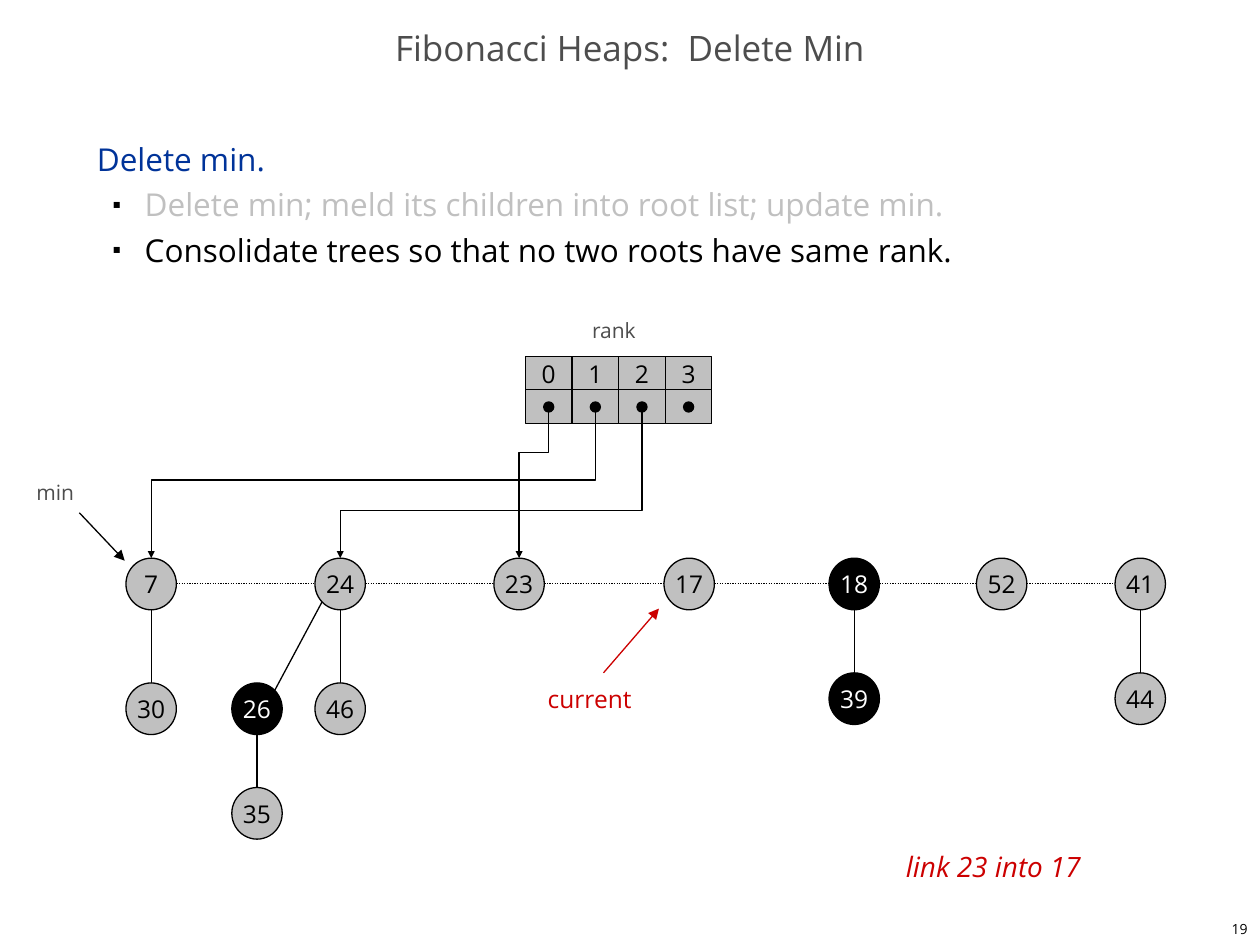
from dataclasses import dataclass
from itertools import pairwise

from lxml import etree
from pptx import Presentation
from pptx.dml.color import RGBColor
from pptx.enum.dml import MSO_LINE
from pptx.enum.shapes import MSO_CONNECTOR, MSO_SHAPE
from pptx.enum.text import MSO_ANCHOR, PP_ALIGN
from pptx.oxml.ns import qn
from pptx.util import Inches, Pt

OVAL, RECTANGLE = MSO_SHAPE.OVAL, MSO_SHAPE.RECTANGLE
STRAIGHT, ELBOW = MSO_CONNECTOR.STRAIGHT, MSO_CONNECTOR.ELBOW
LEFT, CENTER, RIGHT = PP_ALIGN.LEFT, PP_ALIGN.CENTER, PP_ALIGN.RIGHT
TOP, MIDDLE = MSO_ANCHOR.TOP, MSO_ANCHOR.MIDDLE
DOTTED = MSO_LINE.ROUND_DOT


@dataclass(frozen=True)
class Theme:
    font: str = "Open Sans"
    black: RGBColor = RGBColor(0, 0, 0)
    white: RGBColor = RGBColor(255, 255, 255)
    silver: RGBColor = RGBColor(0xC0, 0xC0, 0xC0)
    gray: RGBColor = RGBColor(0x4D, 0x4D, 0x4D)
    blue: RGBColor = RGBColor(0, 0x33, 0x99)
    red: RGBColor = RGBColor(0xCC, 0, 0)
    title: Pt = Pt(20)
    body: Pt = Pt(18)
    remark: Pt = Pt(16)
    node: Pt = Pt(14)
    label: Pt = Pt(12)
    number: Pt = Pt(8)
    stroke: Pt = Pt(0.75)


theme = Theme()


def write(para, text, *, size=theme.node, color=theme.black, align=CENTER,
          spacing=None, italic=False):
    para.alignment = align
    para.line_spacing = spacing
    span = para.add_run()
    span.text = text
    span.font.name = theme.font
    span.font.size = size
    span.font.italic = italic
    span.font.color.rgb = color


def connect(start, end, *, color=theme.black, dash=None, arrow=None, kind=STRAIGHT):
    line = page.shapes.add_connector(kind, *(Inches(value) for value in (*start, *end)))
    line.line.color.rgb = color
    line.line.width = theme.stroke
    if dash:
        line.line.dash_style = dash
    if arrow:
        etree.SubElement(line.line._get_or_add_ln(), qn("a:tailEnd"),
                         type="triangle", w=arrow, len=arrow)
    etree.SubElement(line._element.spPr, qn("a:effectLst"))
    return line


deck = Presentation()
deck.slide_width, deck.slide_height = Inches(10), Inches(7.5)
page = deck.slides.add_slide(deck.slide_layouts[6])

labels = [
    ("19", (7.92, 7.25, 2.08, 0.25), True, MIDDLE,
     dict(size=theme.number, align=RIGHT)),
    ("Fibonacci Heaps:  Delete Min", (0, 0.17, 10, 0.5), True, MIDDLE,
     dict(size=theme.title, color=theme.gray, spacing=0.7)),
    ("min", (0.19, 3.76, 0.51, 0.3), False, TOP,
     dict(size=theme.label, color=theme.gray, align=LEFT)),
    ("rank", (4.6, 2.47, 0.58, 0.3), False, TOP,
     dict(size=theme.label, color=theme.gray, align=LEFT)),
    ("current", (4.18, 5.34, 1, 0.41), True, MIDDLE, dict(color=theme.red)),
    ("link 23 into 17", (7.09, 6.69, 1.78, 0.37), False, TOP,
     dict(size=theme.remark, color=theme.red, align=LEFT, italic=True)),
]
for text, place, wrap, anchor, style in labels:
    box = page.shapes.add_textbox(*(Inches(value) for value in place))
    box.text_frame.word_wrap = wrap
    box.text_frame.vertical_anchor = anchor
    write(box.text_frame.paragraphs[0], text, **style)

body = page.shapes.add_textbox(Inches(0.67), Inches(1), Inches(8.58), Inches(5.92))
body.text_frame.word_wrap = True
steps = [
    ("Delete min.", theme.blue),
    ("Delete min; meld its children into root list; update min.", theme.silver),
    ("Consolidate trees so that no two roots have same rank.", theme.black),
]
for index, (text, color) in enumerate(steps):
    para = body.text_frame.add_paragraph() if index else body.text_frame.paragraphs[0]
    write(para, text, size=theme.body, color=color, align=LEFT, spacing=Pt(26))
    if index:
        para.level = 1
        properties = para._p.get_or_add_pPr()
        properties.set("marL", str(Inches(0.38)))
        properties.set("indent", str(Inches(-0.25)))
        bullet_color = etree.SubElement(properties, qn("a:buClr"))
        etree.SubElement(bullet_color, qn("a:srgbClr"), val=str(theme.black))
        etree.SubElement(properties, qn("a:buSzPct"), val="25000")
        etree.SubElement(properties, qn("a:buFont"), typeface=theme.font)
        etree.SubElement(properties, qn("a:buChar"), char="■")

node_width, node_height = 0.4, 0.41
root_top = 4.43
root_middle, root_bottom = 4.63, 4.83
roots = {"7": 1, "24": 2.5, "23": 3.92, "17": 5.27, "18": 6.58, "52": 7.75, "41": 8.85}
nodes = {label: (left, root_top) for label, left in roots.items()}
nodes |= {"30": (1, 5.42), "26": (1.84, 5.42), "46": (2.5, 5.42),
          "35": (1.84, 6.25), "39": (6.58, 5.34), "44": (8.85, 5.34)}
marked = {"18", "26", "39"}

for left, right in pairwise(roots.values()):
    connect((left + node_width, root_middle), (right, root_middle), dash=DOTTED)
for child, parent in [("30", "7"), ("46", "24"), ("35", "26"), ("39", "18"), ("44", "41")]:
    left, top = nodes[child]
    middle = left + node_width / 2
    connect((middle, top), (middle, nodes[parent][1] + node_height))
connect((2.18, 5.48), (2.56, 4.77))

for label, (left, top) in nodes.items():
    node = page.shapes.add_shape(OVAL, Inches(left), Inches(top),
                                 Inches(node_width), Inches(node_height))
    node.shadow.inherit = False
    node.fill.solid()
    node.fill.fore_color.rgb = theme.black if label in marked else theme.silver
    node.line.color.rgb = theme.black
    node.line.width = theme.stroke
    node.text_frame.word_wrap = False
    node.text_frame.vertical_anchor = MIDDLE
    write(node.text_frame.paragraphs[0], label,
          color=theme.white if label in marked else theme.black)

cell_left, cell_width, cell_height, dot = 4.17, 0.37, 0.27, 0.08
for top, texts in [(2.83, "0123"), (3.09, [""] * 4)]:
    row = page.shapes.add_group_shape()
    for rank, text in enumerate(texts):
        cell = row.shapes.add_shape(RECTANGLE, Inches(cell_left + rank * cell_width),
                                    Inches(top), Inches(cell_width), Inches(cell_height))
        cell.shadow.inherit = False
        cell.fill.solid()
        cell.fill.fore_color.rgb = theme.silver
        cell.line.color.rgb = theme.black
        cell.line.width = theme.stroke
        cell.text_frame.word_wrap = False
        cell.text_frame.vertical_anchor = MIDDLE
        if text:
            write(cell.text_frame.paragraphs[0], text)

dot_centers = [cell_left + (rank + 0.5) * cell_width for rank in range(4)]
for center in dot_centers:
    pointer = page.shapes.add_shape(OVAL, Inches(center - dot / 2), Inches(3.19),
                                    Inches(dot), Inches(dot))
    pointer.shadow.inherit = False
    pointer.fill.solid()
    pointer.fill.fore_color.rgb = theme.black
    pointer.line.color.rgb = theme.black
    pointer.line.width = theme.stroke

dot_bottom = 3.27
drop = root_top - dot_bottom
for start, root, bend in zip(dot_centers, ["23", "7", "24"], [3.59, 3.81, 4.05]):
    end = roots[root] + node_width / 2
    middle_x, middle_y = (start + end) / 2, (dot_bottom + root_top) / 2
    reach = start - end
    arrow = connect((middle_x - drop / 2, middle_y - reach / 2),
                    (middle_x + drop / 2, middle_y + reach / 2), arrow="sm", kind=ELBOW)
    arrow._element.spPr.find(qn("a:xfrm")).set("rot", str(90 * 60000))
    adjustments = arrow._element.spPr.find(qn("a:prstGeom")).find(qn("a:avLst"))
    share = round((bend - dot_bottom) / drop * 100000)
    etree.SubElement(adjustments, qn("a:gd"), name="adj1", fmla=f"val {share}")

connect((0.63, 4.07), (0.99, 4.45), arrow="med")
connect((4.79, 5.34), (5.23, root_bottom), color=theme.red, arrow="med")

deck.save("out.pptx")
